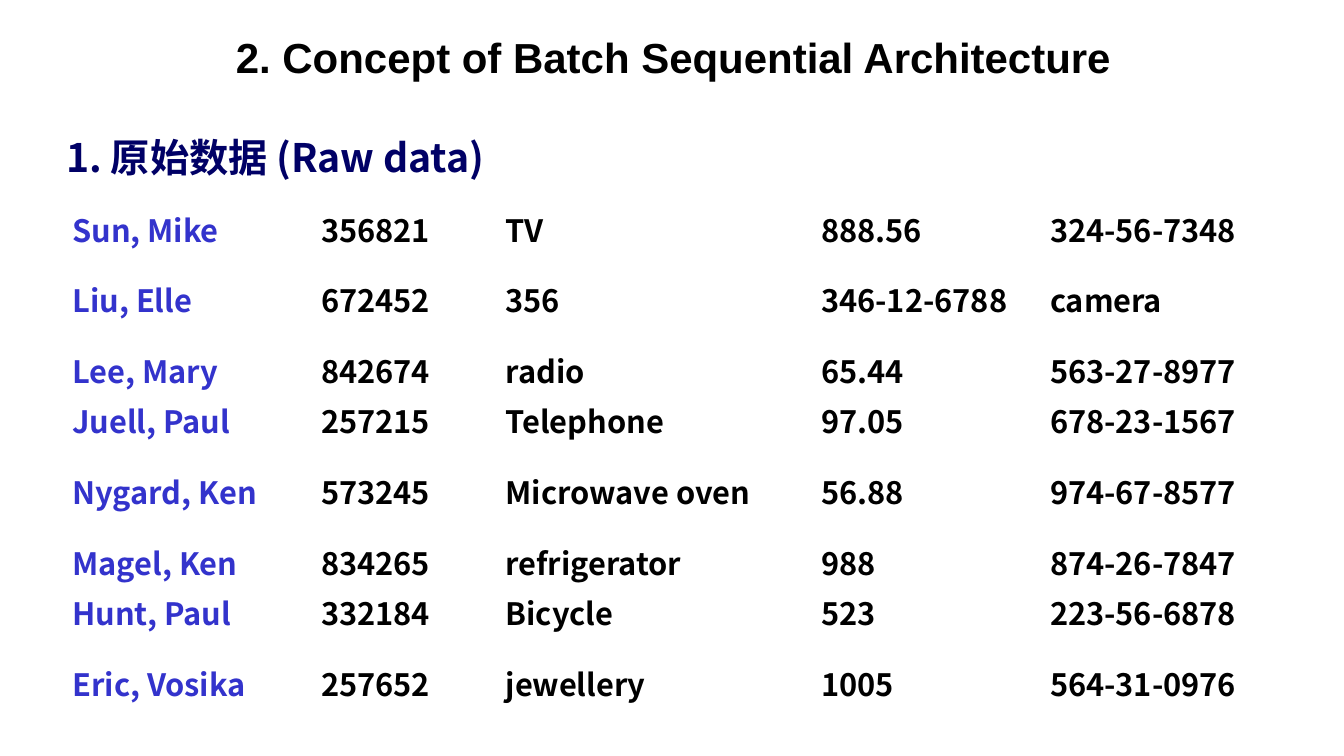
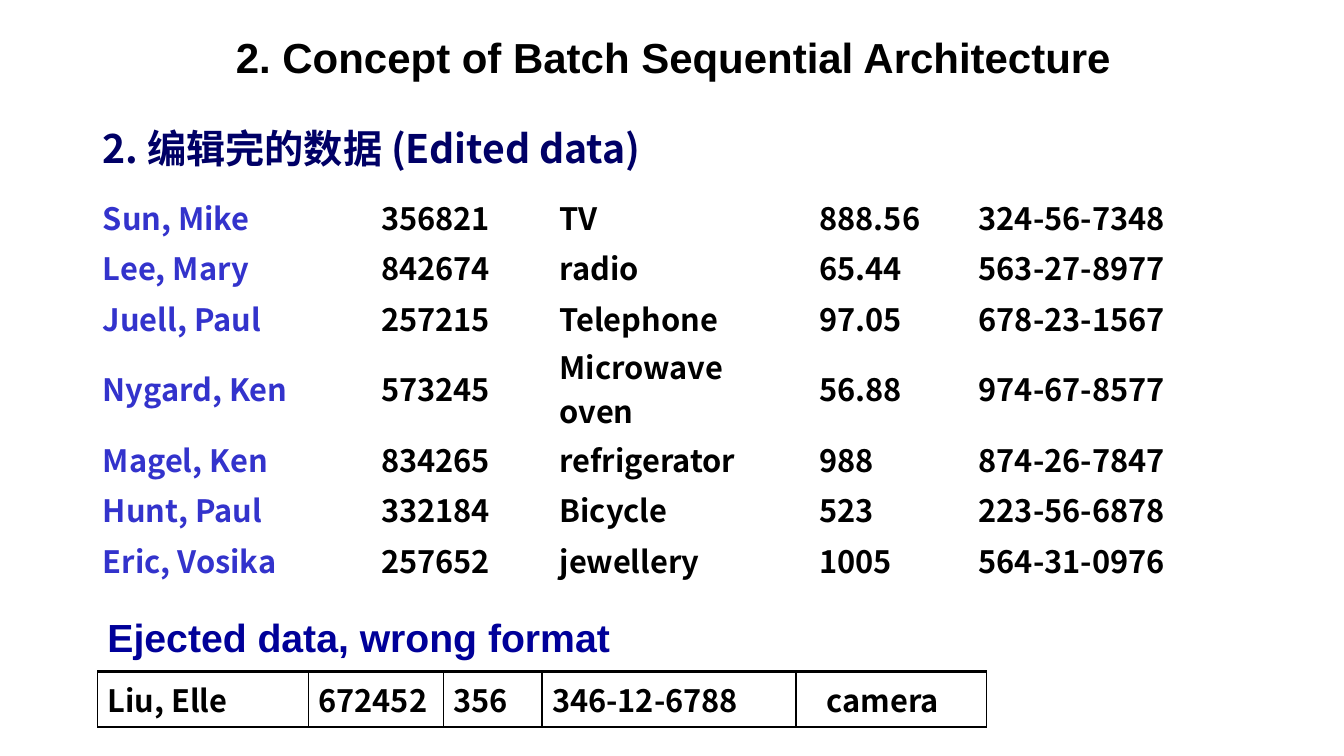
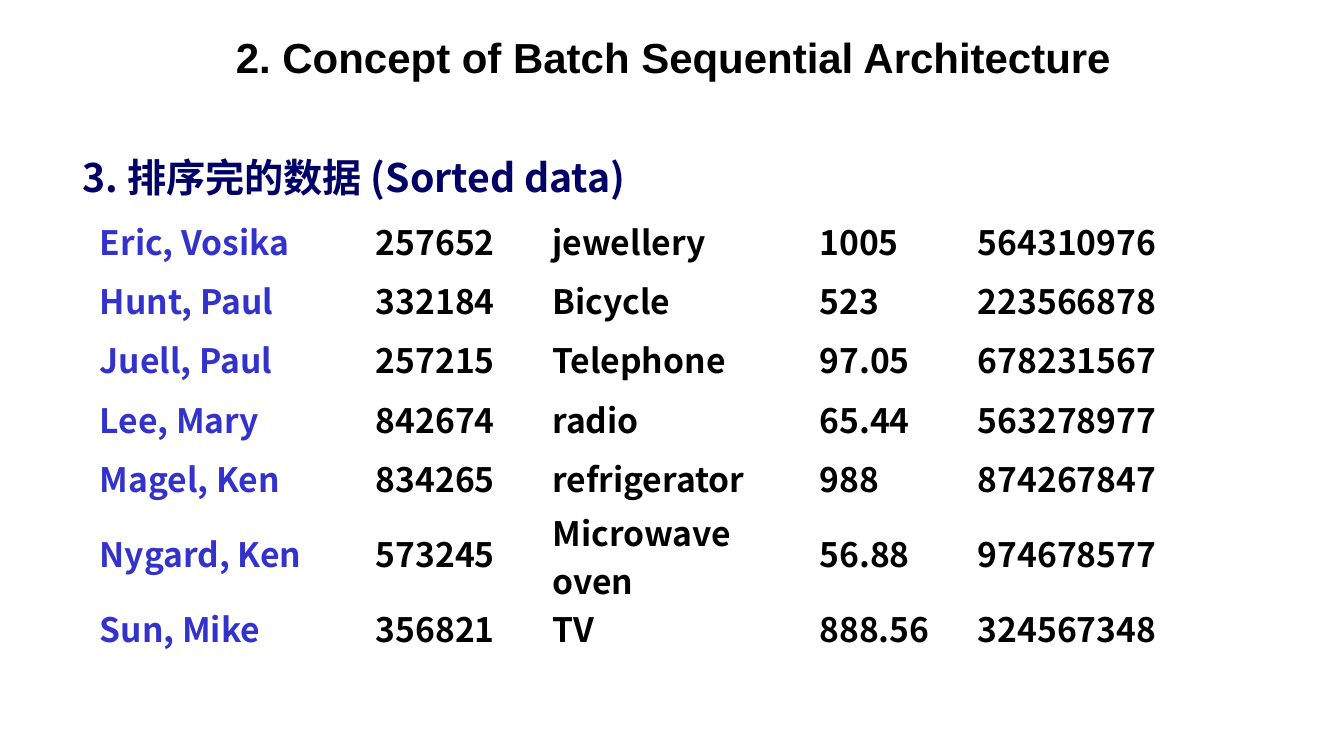
from dataclasses import astuple, dataclass, replace

from lxml import etree
from pptx import Presentation
from pptx.dml.color import RGBColor
from pptx.enum.text import MSO_ANCHOR, MSO_AUTO_SIZE, PP_ALIGN
from pptx.oxml.ns import qn
from pptx.slide import Slide
from pptx.table import Table
from pptx.text.text import _Paragraph as Paragraph
from pptx.util import Cm, Pt

MIDDLE = MSO_ANCHOR.MIDDLE
FIT_SHAPE = MSO_AUTO_SIZE.SHAPE_TO_FIT_TEXT
CENTER = PP_ALIGN.CENTER

LATIN_FONT = "Arial"
CHINESE_FONT = "Noto Sans CJK SC"
BLACK = "000000"
NAME_BLUE = "3333CC"
HEADING_BLUE = "000066"
EJECTED_BLUE = "000099"

TITLE = "2. Concept of Batch Sequential Architecture"
SINGLE_ROW = 1.27
TALL_ROW = 2.29


@dataclass(frozen=True)
class Record:
    name: str
    account: str
    item: str
    price: str
    identity: str


@dataclass(frozen=True)
class Heading:
    text: str
    left: float
    top: float
    width: float
    color: str = HEADING_BLUE
    font: str = CHINESE_FONT


@dataclass(frozen=True)
class Grid:
    """A table of records; lengths are in centimetres."""
    records: list[Record]
    left: float
    top: float
    columns: list[float]
    rows: list[float]
    size: int = 22
    name_color: str = NAME_BLUE


RAW = [
    Record("Sun, Mike", "356821", "TV", "888.56", "324-56-7348"),
    Record("Liu, Elle", "672452", "356", "346-12-6788", "camera"),
    Record("Lee, Mary", "842674", "radio", "65.44", "563-27-8977"),
    Record("Juell, Paul", "257215", "Telephone", "97.05", "678-23-1567"),
    Record("Nygard, Ken", "573245", "Microwave oven", "56.88", "974-67-8577"),
    Record("Magel, Ken", "834265", "refrigerator", "988", "874-26-7847"),
    Record("Hunt, Paul", "332184", "Bicycle", "523", "223-56-6878"),
    Record("Eric, Vosika", "257652", "jewellery", "1005", "564-31-0976"),
]
EJECTED = [record for record in RAW if record.identity == "camera"]
EDITED = [record for record in RAW if record not in EJECTED]
SORTED = [
    replace(record, identity=record.identity.replace("-", ""))
    for record in sorted(EDITED, key=lambda record: record.name)
]


def row_heights(records: list[Record], tall_names: set[str], single: float) -> list[float]:
    return [TALL_ROW if record.name in tall_names else single for record in records]


def rgb(color: str) -> RGBColor:
    return RGBColor.from_string(color)


def style_paragraph(para: Paragraph, font: str, size: int, color: str) -> None:
    para.font.size = Pt(size)
    para.font.bold = True
    para.font.color.rgb = rgb(color)
    para.font.name = font
    defaults = para._p.get_or_add_pPr().find(qn("a:defRPr"))
    etree.SubElement(defaults, qn("a:ea"), typeface=font)


def add_text(slide: Slide, text: str, left: float, top: float, width: float,
             height: float) -> Paragraph:
    box = slide.shapes.add_textbox(Cm(left), Cm(top), Cm(width), Cm(height))
    box.text_frame.word_wrap = True
    box.text_frame.auto_size = FIT_SHAPE
    para = box.text_frame.paragraphs[0]
    para.text = text
    return para


def add_title(slide: Slide) -> None:
    para = add_text(slide, TITLE, 5.23, 0.86, 23.5, 1.35)
    para.alignment = CENTER
    para.line_spacing = 0.85
    style_paragraph(para, LATIN_FONT, 30, BLACK)


def add_heading(slide: Slide, heading: Heading) -> None:
    para = add_text(slide, heading.text, heading.left, heading.top, heading.width, 1.45)
    before = etree.SubElement(para._p.get_or_add_pPr(), qn("a:spcBef"))
    etree.SubElement(before, qn("a:spcPct"), val="50000")
    style_paragraph(para, heading.font, 28, heading.color)


def add_grid(slide: Slide, grid: Grid) -> Table:
    frame = slide.shapes.add_table(
        len(grid.rows), len(grid.columns), Cm(grid.left), Cm(grid.top),
        Cm(sum(grid.columns)), Cm(sum(grid.rows)))
    table = frame.table
    table.first_row = False
    table.horz_banding = False
    for column, width in zip(table.columns, grid.columns):
        column.width = Cm(width)
    for row, height, record in zip(table.rows, grid.rows, grid.records):
        row.height = Cm(height)
        for index, (cell, text) in enumerate(zip(row.cells, astuple(record))):
            cell.fill.background()
            cell.vertical_anchor = MIDDLE
            cell.margin_top = cell.margin_bottom = Cm(0)
            cell.text = text
            color = BLACK if index else grid.name_color
            style_paragraph(cell.text_frame.paragraphs[0], CHINESE_FONT, grid.size, color)
    return table


def add_borders(table: Table) -> None:
    """Give every cell thin sides and a thick top and bottom."""
    widths = {"a:lnL": Pt(1), "a:lnR": Pt(1), "a:lnT": Pt(2.25), "a:lnB": Pt(2.25)}
    for cell in table.iter_cells():
        properties = cell._tc.get_or_add_tcPr()
        for position, (tag, width) in enumerate(widths.items()):
            line = etree.Element(qn(tag), w=str(int(width)))
            fill = etree.SubElement(line, qn("a:solidFill"))
            etree.SubElement(fill, qn("a:srgbClr"), val=BLACK)
            properties.insert(position, line)


PAGES = [
    (Heading("1. 原始数据 (Raw data)", 1.42, 3.23, 13.28),
     Grid(RAW, 1.57, 5.13, [6.27, 4.65, 7.95, 5.77, 6.3],
          row_heights(RAW, {"Liu, Elle", "Nygard, Ken", "Eric, Vosika"}, SINGLE_ROW))),
    (Heading("2. 编辑完的数据 (Edited data)", 2.34, 3.02, 14.81),
     Grid(EDITED, 2.34, 4.83, [7.01, 4.5, 6.55, 4.01, 7.52],
          row_heights(EDITED, {"Nygard, Ken"}, SINGLE_ROW))),
    (Heading("3. 排序完的数据 (Sorted data)", 1.83, 3.73, 16),
     Grid(SORTED, 2.26, 5.33, [6.96, 4.45, 6.73, 3.99, 7.21],
          row_heights(SORTED, {"Nygard, Ken"}, 1.49), size=24)),
]
EJECTED_HEADING = Heading("Ejected data, wrong format", 2.46, 15.32, 15.21,
                          EJECTED_BLUE, LATIN_FONT)
EJECTED_GRID = Grid(EJECTED, 2.46, 16.92, [5.31, 3.4, 2.49, 6.4, 4.8], [1.4],
                    name_color=BLACK)


def add_ejected(slide: Slide) -> None:
    add_heading(slide, EJECTED_HEADING)
    table = add_grid(slide, EJECTED_GRID)
    add_borders(table)
    table.cell(0, len(EJECTED_GRID.columns) - 1).margin_left = Cm(0.78)


def main() -> None:
    deck = Presentation()
    deck.slide_width = Cm(33.87)
    deck.slide_height = Cm(19.05)
    blank = deck.slide_layouts[6]
    for heading, grid in PAGES:
        page = deck.slides.add_slide(blank)
        add_title(page)
        add_heading(page, heading)
        add_grid(page, grid)
        if grid.records is EDITED:
            add_ejected(page)
    deck.save("out.pptx")


if __name__ == "__main__":
    main()
